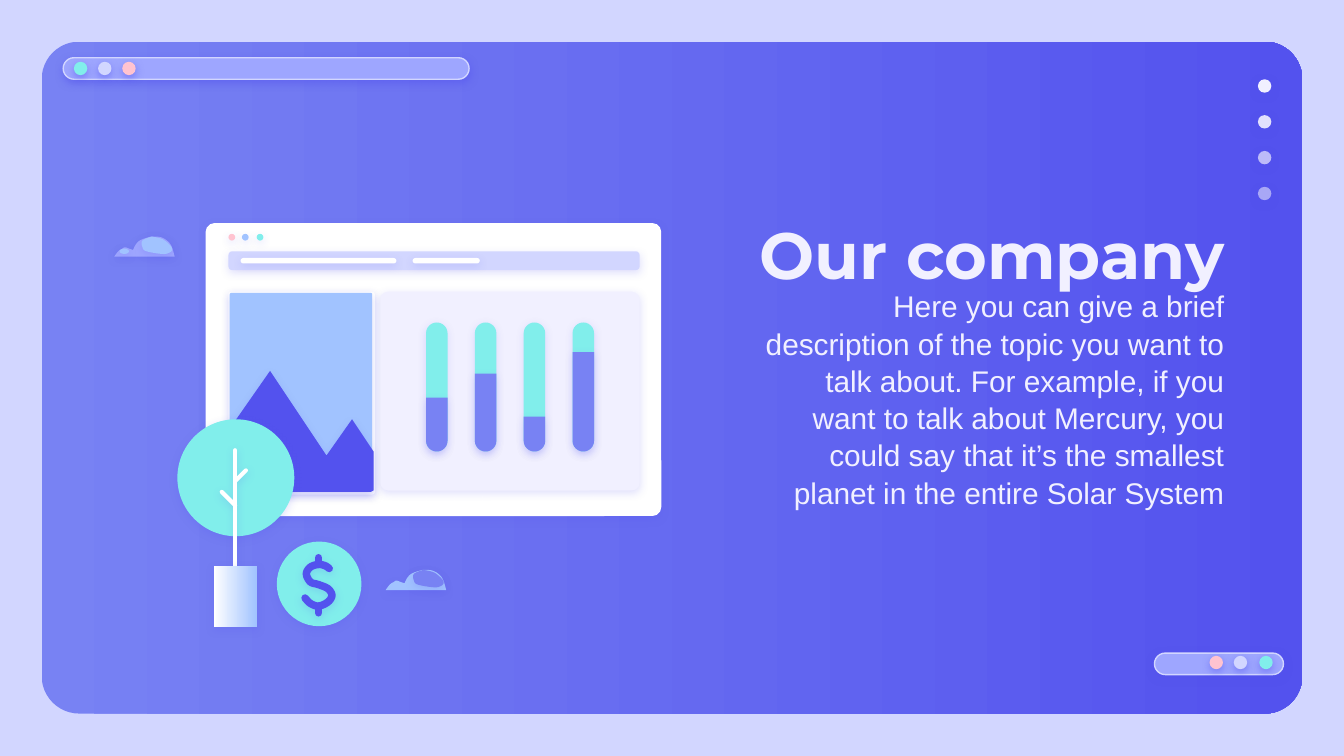
"""Build the "Our company" slide: a browser-like frame, an illustration and a text block."""
import math
import lxml.etree
import pptx
import pptx.dml.color
import pptx.enum.shapes
import pptx.enum.text
import pptx.oxml.ns
import pptx.util

Inches = pptx.util.Inches
qn = pptx.oxml.ns.qn
hue = pptx.dml.color.RGBColor.from_string
kinds = pptx.enum.shapes.MSO_SHAPE
ROUND, OVAL, RECT = kinds.ROUNDED_RECTANGLE, kinds.OVAL, kinds.RECTANGLE
BLUE, IRIS, LILAC, PALE = "5352EE", "7882F3", "9EA6FF", "D2D6FF"
MINT, PINK, SKY, MIST, WHITE = "81EEEB", "FFC3D0", "A1C3FF", "F1F0FF", "FFFFFF"

deck = pptx.Presentation()
deck.slide_width, deck.slide_height = Inches(10), Inches(10) * 9 // 16
slide = deck.slides.add_slide(deck.slide_layouts[0])
slide.background.fill.solid()
slide.background.fill.fore_color.rgb = hue(PALE)


def draw(kind, data, *hues, glow=17, bend=None, clear=100, edge=None, stroke=0):
    """Draw a preset in a box, or a freeform along paths, with fill, line and shadow."""
    if kind:
        shape = slide.shapes.add_shape(kind, *map(Inches, data))
        if bend:
            shape.adjustments[0] = bend
    else:
        paths = [[(Inches(x), Inches(y)) for x, y in path] for path in data]
        pen = slide.shapes.build_freeform(*paths[0][0])
        for count, path in enumerate(paths):
            if count:
                pen.move_to(*path[0])
            pen.add_line_segments(path[1:], close=not stroke)
        shape = pen.convert_to_shape()
    if stroke:
        shape.fill.background()
    elif len(hues) == 2:
        shape.fill.gradient()
        shape.fill.gradient_angle = 0
        for stop, tone in zip(shape.fill.gradient_stops, hues):
            stop.color.rgb = hue(tone)
    else:
        shape.fill.solid()
        shape.fill.fore_color.rgb = hue(hues[0])
    props = shape._element.spPr
    if clear < 100:
        tint = props.find(qn("a:solidFill"))[0]
        lxml.etree.SubElement(tint, qn("a:alpha"), val=str(clear * 1000))
    if edge or stroke:
        shape.line.color.rgb = hue(edge or hues[0])
        shape.line.width = pptx.util.Pt(stroke or 0.75)
        if stroke:
            line = props.find(qn("a:ln"))
            line.set("cap", "rnd")
            lxml.etree.SubElement(line, qn("a:round"))
    else:
        shape.line.fill.background()
    shape.shadow.inherit = False
    if glow:
        cast = lxml.etree.SubElement(props.find(qn("a:effectLst")), qn("a:outerShdw"),
                                     blurRad="57150", dist="19050", dir="5400000",
                                     algn="bl", rotWithShape="0")
        tint = lxml.etree.SubElement(cast, qn("a:srgbClr"), val=BLUE)
        lxml.etree.SubElement(tint, qn("a:alpha"), val=str(glow * 1000))


def curve(knots):
    """Return points of a smooth open curve through the knots."""
    ends = [knots[0], *knots, knots[-1]]
    points = [knots[0]]
    for a, b, c, d in zip(ends, ends[1:], ends[2:], ends[3:]):
        for step in range(1, 7):
            t = step / 6
            points.append(tuple(
                (2 * q + (r - p) * t + (2 * p - 5 * q + 4 * r - s) * t ** 2
                 + (3 * q - p - 3 * r + s) * t ** 3) / 2
                for p, q, r, s in zip(a, b, c, d)))
    return points


draw(ROUND, (0.31, 0.31, 9.38, 5), IRIS, BLUE, glow=0, bend=0.056)
for box, dots, top in (((0.47, 0.43, 3.02, 0.16), (0.55, 0.73, 0.91), 0.46),
                       ((8.59, 4.86, 0.96, 0.16), (9.37, 9.18, 9), 4.88)):
    draw(ROUND, box, LILAC, glow=50, bend=0.5, edge=PALE)
    for left, tone in zip(dots, (MINT, PALE, PINK)):
        draw(OVAL, (left, top, 0.1, 0.1), tone, glow=50)
for row, clear in enumerate((100, 90, 67, 54)):
    draw(OVAL, (9.36, 0.59 + row * 0.8 / 3, 0.1, 0.1), MIST, glow=50, clear=clear)

title, body = slide.placeholders
for holder, box, text, font, size, bold, anchor, space in (
        (title, (5.48, 1.49, 3.73, 0.63), "Our company", "Montserrat", 35, True, "TOP", 1),
        (body, (5.59, 2.3, 3.62, 1.33),
         "Here you can give a brief description of the topic you want to talk about. "
         "For example, if you want to talk about Mercury, you could say that "
         "it’s the smallest planet in the entire Solar System",
         "Arial", 16, False, "MIDDLE", 1.04)):
    slide.shapes._spTree.append(holder._element)
    holder.left, holder.top, holder.width, holder.height = map(Inches, box)
    frame = holder.text_frame
    frame.word_wrap = True
    frame.auto_size = pptx.enum.text.MSO_AUTO_SIZE.NONE
    frame.vertical_anchor = pptx.enum.text.MSO_ANCHOR[anchor]
    frame.margin_left = frame.margin_right = Inches(0.1)
    frame.margin_top = frame.margin_bottom = Inches(0.1)
    para = frame.paragraphs[0]
    para.alignment = pptx.enum.text.PP_ALIGN.RIGHT
    para.space_before = pptx.util.Pt(0)
    para.line_spacing = space
    run = para.add_run()
    run.text = text
    run.font.name, run.font.size, run.font.bold = font, pptx.util.Pt(size), bold
    run.font.color.rgb = hue(MIST)

draw(OVAL, (2.06, 4.03, 0.63, 0.63), MINT)
for box, tone, bend in (((1.53, 1.66, 3.39, 2.18), WHITE, 0.03),
                        ((1.7, 2.17, 1.09, 1.51), WHITE, 0.02),
                        ((1.71, 2.18, 1.06, 1.48), SKY, 0.01),
                        ((1.7, 1.87, 3.06, 0.14), PALE, 0.2),
                        ((1.79, 1.92, 1.16, 0.04), WHITE, 0.5),
                        ((3.07, 1.92, 0.5, 0.04), WHITE, 0.5),
                        ((2.83, 2.17, 1.93, 1.48), MIST, 0.04)):
    draw(ROUND, box, tone, bend=bend)
for left, tone in zip((1.7, 1.8, 1.91), (PINK, SKY, MINT)):
    draw(OVAL, (left, 1.74, 0.05, 0.05), tone)
draw(None, [[(2.01, 2.76), (1.71, 3.19), (1.71, 3.65), (1.73, 3.66), (2.76, 3.66),
             (2.78, 3.65), (2.78, 3.36), (2.62, 3.12), (2.43, 3.39)]], BLUE)

pills, fills = [], []
for col, level in enumerate((2.96, 2.78, 3.1, 2.62)):
    mid = 3.25 + col * 1.09 / 3
    arc = [(0.08 * math.cos(math.pi * k / 12), 0.08 * math.sin(math.pi * k / 12))
           for k in range(13)]
    base = [(mid + x, 3.28 + y) for x, y in arc]
    pills.append(base + [(mid - x, 2.48 - y) for x, y in arc])
    fills.append(base + [(mid - 0.08, level), (mid + 0.08, level)])
draw(None, pills, MINT)
draw(None, fills, IRIS)

draw(OVAL, (1.32, 3.12, 0.87, 0.87), MINT)
draw(None, [[(1.75, 3.35), (1.75, 4.27)], [(1.65, 3.66), (1.75, 3.76)],
            [(1.83, 3.5), (1.75, 3.58)]], WHITE, stroke=2.2)
draw(RECT, (1.59, 4.21, 0.32, 0.46), WHITE, SKY)
draw(None, [curve([(2.45, 4.23), (2.42, 4.21), (2.37, 4.2), (2.31, 4.22), (2.28, 4.27),
                   (2.31, 4.33), (2.37, 4.35), (2.44, 4.38), (2.47, 4.43), (2.44, 4.48),
                   (2.37, 4.51), (2.31, 4.49), (2.27, 4.45)]),
            [(2.37, 4.15), (2.37, 4.2)], [(2.37, 4.51), (2.37, 4.56)]], BLUE, stroke=4)

small = [(0, 0.15), (0.03, 0.11), (0.06, 0.09), (0.08, 0.08), (0.11, 0.09), (0.14, 0.1)]
large = [(0.14, 0.1), (0.16, 0.06), (0.19, 0.03), (0.24, 0.01), (0.29, 0),
         (0.36, 0.01), (0.42, 0.06), (0.45, 0.15)]
shine = [(0.28, 0), (0.21, 0.03), (0.21, 0.08), (0.24, 0.11), (0.36, 0.13),
         (0.41, 0.12), (0.43, 0.1), (0.42, 0.07), (0.36, 0.02), (0.28, 0)]
for left, top, tone, light in ((0.85, 1.76, LILAC, SKY), (2.87, 4.24, SKY, IRIS)):
    for knots, fill in ((curve(small) + curve(large), tone), (curve(shine), light)):
        draw(None, [[(left + x, top + y) for x, y in knots]], fill)
draw(OVAL, (0.89, 1.85, 0.07, 0.04), SKY)

deck.save("out.pptx")
